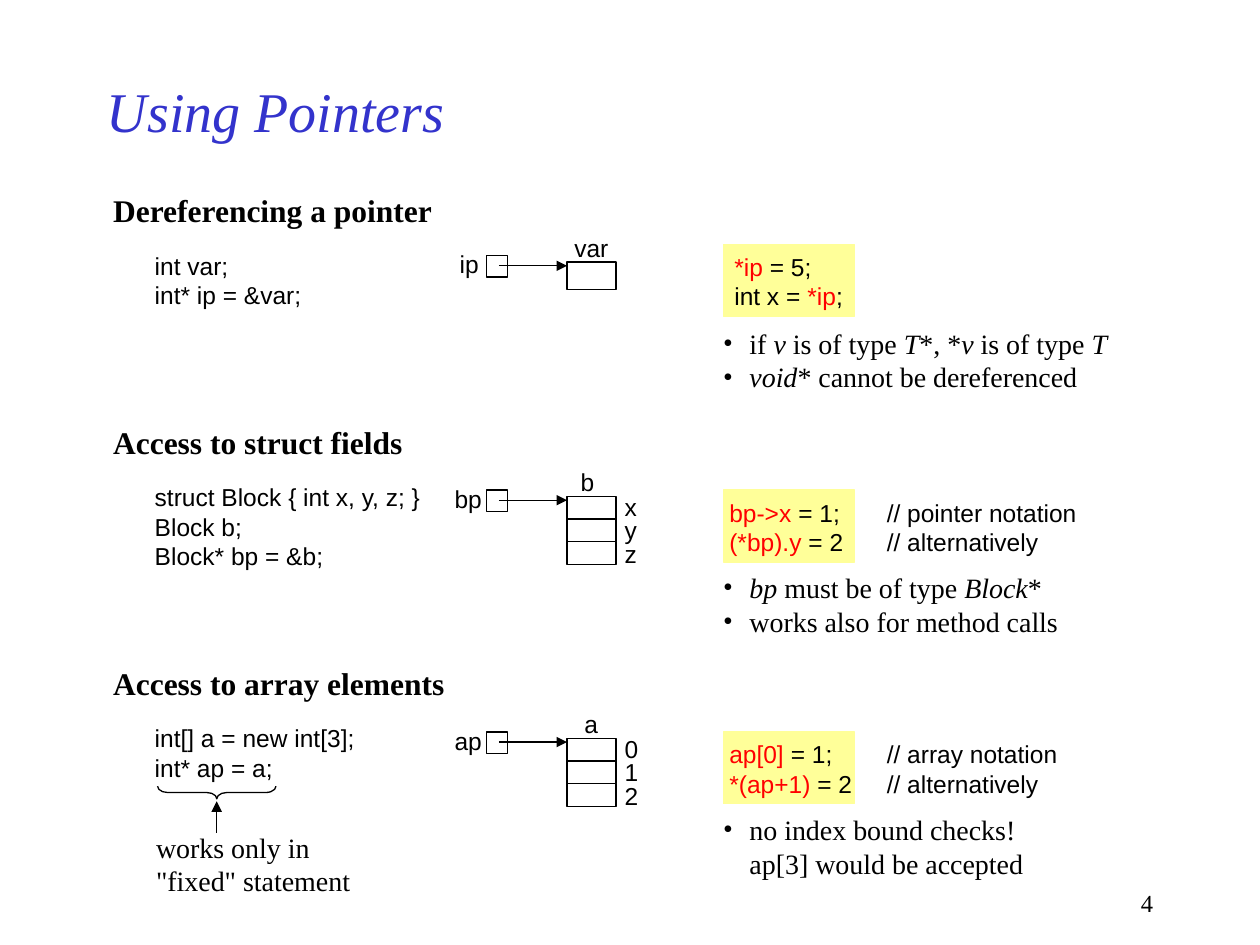
from lxml.etree import SubElement
from pptx import Presentation
from pptx.dml.color import RGBColor
from pptx.enum.shapes import MSO_CONNECTOR, MSO_SHAPE
from pptx.enum.text import MSO_ANCHOR, PP_ALIGN
from pptx.oxml.ns import qn
from pptx.util import Pt

PX = 9144  # 100 px to the inch
BLACK = RGBColor(0, 0, 0)
RED = RGBColor(255, 0, 0)
BLUE = RGBColor(0x33, 0x33, 0xCC)
YELLOW = RGBColor(0xFF, 0xFF, 0x99)
SANS, SERIF = "Arial", "Times New Roman"

# Text between bars is accented: red in code, italic in notes.
PARTS = [
    dict(head="Dereferencing a pointer", y=147, top=203,
         code=["int var;", "int* ip = &var;"],
         ptr=("ip", 355), target=("var", 446),
         cell=22, cells=[""],
         use=["|*ip| = 5;", "int x = |*ip|;"], use_at=(573, 195),
         notes=["if |v| is of type |T|*, *|v| is of type |T|",
                "|void|* cannot be dereferenced"], notes_y=254),
    dict(head="Access to struct fields", y=331, top=389,
         code=["struct Block { int x, y, z; }", "Block b;", "Block* bp = &b;"],
         ptr=("bp", 351), target=("b", 451),
         cell=18, cells=["x", "y", "z"],
         use=["|bp->x| = 1;\t// pointer notation",
              "|(*bp).y| = 2\t// alternatively"], use_at=(569, 390),
         notes=["|bp| must be of type |Block|*",
                "works also for method calls"], notes_y=448),
    dict(head="Access to array elements", y=522, top=581,
         code=["int[] a = new int[3];", "int* ap = a;"],
         ptr=("ap", 351), target=("a", 454),
         cell=18, cells=["0", "1", "2"],
         use=["|ap[0]| = 1;\t// array notation",
              "|*(ap+1)| = 2\t// alternatively"], use_at=(569, 582),
         notes=["no index bound checks!\nap[3] would be accepted"],
         notes_y=640),
]
REMARK = ["works only in", '"fixed" statement']

deck = Presentation()
deck.slide_width, deck.slide_height = 1000 * PX, 750 * PX
slide = deck.slides.add_slide(deck.slide_layouts[6])
shapes = slide.shapes


def add_bullet(para):
    props = para._p.get_or_add_pPr()
    props.set("marL", str(21 * PX))
    props.set("indent", str(-21 * PX))
    SubElement(props, qn("a:buFont"), typeface=SERIF)
    SubElement(props, qn("a:buChar"), char="•")


def add_tab(para, pos):
    tabs = SubElement(para._p.get_or_add_pPr(), qn("a:tabLst"))
    SubElement(tabs, qn("a:tab"), pos=str(pos * PX), algn="l")


def write(lines, x, y, w, h, size=14, face=SANS, color=BLACK,
          bullet=False, tab=None):
    box = shapes.add_textbox(x * PX, y * PX, w * PX, h * PX)
    frame = box.text_frame
    frame.word_wrap = True
    for i, line in enumerate(lines):
        para = frame.add_paragraph() if i else frame.paragraphs[0]
        if bullet:
            add_bullet(para)
        if tab:
            add_tab(para, tab)
        font = para.font
        font.size, font.name, font.color.rgb = Pt(size), face, color
        for j, piece in enumerate(line.split("|")):
            for k, text in enumerate(piece.split("\n")):
                if k:
                    para.add_line_break()
                if not text:
                    continue
                run = para.add_run()
                run.text = text
                if j % 2 and face == SANS:
                    run.font.color.rgb = RED
                elif j % 2:
                    run.font.italic = True
    return frame


def label(text, x, y):
    write([text], x, y, 56, 34)


def draw(kind, x, y, w, h, fill=None, line=BLACK):
    shape = shapes.add_shape(kind, x * PX, y * PX, w * PX, h * PX)
    shape.shadow.inherit = False
    if fill is None:
        shape.fill.background()
    else:
        shape.fill.solid()
        shape.fill.fore_color.rgb = fill
    shape.line.color.rgb = line
    shape.line.width = Pt(0.75)
    return shape


def arrow(x1, y1, x2, y2):
    link = shapes.add_connector(MSO_CONNECTOR.STRAIGHT,
                                x1 * PX, y1 * PX, x2 * PX, y2 * PX)
    link.line.color.rgb = BLACK
    link.line.width = Pt(0.75)
    SubElement(link.line._get_or_add_ln(), qn("a:tailEnd"), type="triangle")
    SubElement(link._element.spPr, qn("a:effectLst"))


def draw_part(part):
    y, top, cell = part["y"], part["top"], part["cell"]
    head = write([part["head"]], 80, y, 310, 40, 18, SERIF)
    head.paragraphs[0].font.bold = True
    code = part["code"]
    write(code, 113, y + 47, 240, 10 + 23 * len(code))

    name, x = part["ptr"]
    label(name, x, top - 10)
    draw(MSO_SHAPE.RECTANGLE, 386, top, 17, 17)
    name, x = part["target"]
    label(name, x, top - 23)
    for i, name in enumerate(part["cells"]):
        draw(MSO_SHAPE.RECTANGLE, 450, top + 5 + i * cell, 39, cell)
        if name:
            label(name, 486, top - 3 + i * 37 // 2)
    arrow(396, top + 8, 450, top + 8)

    x, y = part["use_at"]
    draw(MSO_SHAPE.RECTANGLE, 574, y - 1, 104, 57, YELLOW, YELLOW)
    write(part["use"], x, y, 330, 57, tab=125)
    write(part["notes"], 564, part["notes_y"], 350, 64, 16, SERIF, bullet=True)


title = write(["Using Pointers"], 75, 50, 750, 75, 32, SERIF, BLUE)
title.vertical_anchor = MSO_ANCHOR.MIDDLE
title.paragraphs[0].font.italic = True

for part in PARTS:
    draw_part(part)

brace = draw(MSO_SHAPE.RIGHT_BRACE, 167, 582, 10, 94)
brace.rotation = 90
brace.adjustments[0] = 0.8
arrow(172, 661, 172, 636)
write(REMARK, 114, 654, 190, 64, 16, SERIF)

number = write(["4"], 717, 700, 208, 33, 14, SERIF)
number.paragraphs[0].alignment = PP_ALIGN.RIGHT

deck.save("out.pptx")
